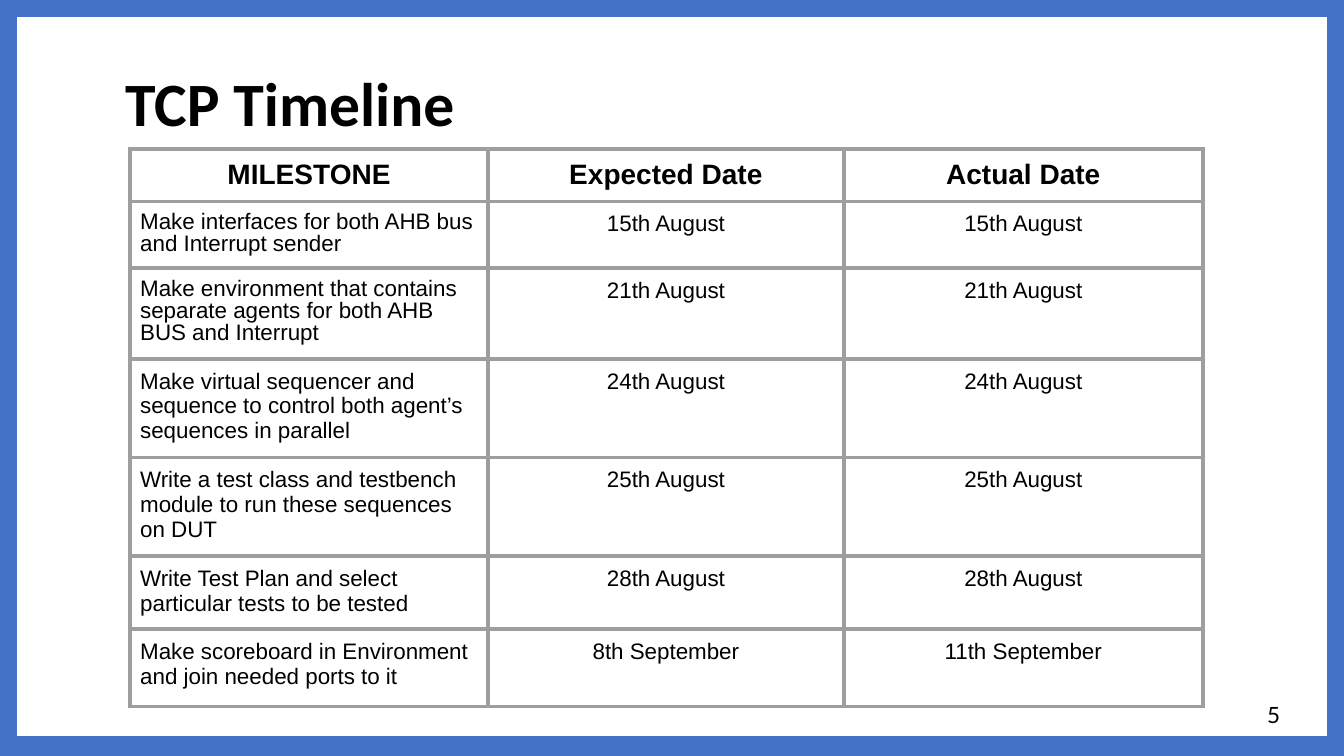
from dataclasses import dataclass

from pptx import Presentation
from pptx import util as u
from pptx.dml.color import RGBColor
from pptx.enum import shapes, text
from pptx.oxml import parse_xml
from pptx.oxml.ns import nsdecls

SLIDE_WIDTH, SLIDE_HEIGHT = u.Inches(13.33), u.Inches(7.5)
INSET = u.Inches(0.1)


@dataclass(frozen=True)
class Theme:
    frame: str = "4472C4"
    paper: str = "FFFFFF"
    ink: str = "000000"
    rule: str = "9E9E9E"
    title_font: str = "Calibri"
    table_font: str = "Arial"
    number_font: str = "Lato"
    title_size: int = 44
    header_size: int = 20
    body_size: int = 16
    rule_width: int = 3


@dataclass(frozen=True)
class Box:
    """A place on the slide, in percent of its width and height."""
    left: float
    top: float
    width: float
    height: float

    def lengths(self) -> tuple[int, int, int, int]:
        return (across(self.left), down(self.top),
                across(self.width), down(self.height))


@dataclass(frozen=True)
class Milestone:
    task: str
    expected: str
    actual: str
    height: float
    tight: bool = False


THEME = Theme()
PAPER = Box(1.28, 2.27, 97.45, 95.07)
TITLE = Box(8.55, 12.13, 83.35, 7.6)
NUMBER = Box(93.55, 90.67, 6, 7.6)
TABLE = Box(9.68, 19.73, 79.82, 73.74)
COLUMN_WIDTHS = (26.63, 26.48, 26.71)
HEADERS = ("MILESTONE", "Expected Date", "Actual Date")
HEADER_HEIGHT = 6.93
MILESTONES = (
    Milestone("Make interfaces for both AHB bus and Interrupt sender",
              "15th August", "15th August", 8.8, tight=True),
    Milestone("Make environment that contains separate agents for both AHB BUS and Interrupt",
              "21th August", "21th August", 12, tight=True),
    Milestone("Make virtual sequencer and sequence to control both agent’s sequences in parallel",
              "24th August", "24th August", 13.07),
    Milestone("Write a test class and testbench module to run these sequences on DUT",
              "25th August", "25th August", 13.07),
    Milestone("Write Test Plan and select particular tests to be tested",
              "28th August", "28th August", 9.6),
    Milestone("Make scoreboard in Environment and join needed ports to it",
              "8th September", "11th September", 10.27),
)


def across(percent: float) -> int:
    return round(SLIDE_WIDTH * percent / 100)


def down(percent: float) -> int:
    return round(SLIDE_HEIGHT * percent / 100)


def style(paragraph, font_name: str, size: int, bold: bool = False,
          align=text.PP_ALIGN.LEFT) -> None:
    paragraph.alignment = align
    font = paragraph.font
    font.name, font.size, font.bold = font_name, u.Pt(size), bold
    font.color.rgb = RGBColor.from_string(THEME.ink)


def set_insets(holder) -> None:
    holder.margin_left = holder.margin_right = INSET
    holder.margin_top = holder.margin_bottom = INSET


def fill_text(shape, words: str, anchor, font_name: str, size: int,
              bold: bool = False) -> None:
    frame = shape.text_frame
    frame.text = words
    frame.word_wrap = True
    frame.auto_size = text.MSO_AUTO_SIZE.NONE
    frame.vertical_anchor = anchor
    set_insets(frame)
    style(frame.paragraphs[0], font_name, size, bold)


def draw_borders(cell) -> None:
    properties = cell._tc.get_or_add_tcPr()
    for side in ("lnL", "lnR", "lnT", "lnB"):
        properties.append(parse_xml(
            f'<a:{side} {nsdecls("a")} w="{u.Pt(THEME.rule_width)}"><a:solidFill>'
            f'<a:srgbClr val="{THEME.rule}"/></a:solidFill></a:{side}>'))


def fill_cell(cell, words: str, size: int, bold: bool = False,
              align=text.PP_ALIGN.CENTER):
    draw_borders(cell)
    cell.fill.background()
    set_insets(cell)
    cell.text = words
    paragraph = cell.text_frame.paragraphs[0]
    style(paragraph, THEME.table_font, size, bold, align)
    return paragraph


def add_timeline(slide) -> None:
    table = slide.shapes.add_table(
        len(MILESTONES) + 1, len(HEADERS), *TABLE.lengths()).table
    table.first_row = table.horz_banding = False
    for column, width in zip(table.columns, COLUMN_WIDTHS):
        column.width = across(width)

    # Header row
    table.rows[0].height = down(HEADER_HEIGHT)
    for index, header in enumerate(HEADERS):
        fill_cell(table.cell(0, index), header, THEME.header_size, bold=True)

    # Milestone rows
    for index, milestone in enumerate(MILESTONES, start=1):
        table.rows[index].height = down(milestone.height)
        task = fill_cell(table.cell(index, 0), milestone.task,
                         THEME.body_size, align=text.PP_ALIGN.LEFT)
        if milestone.tight:
            task.line_spacing = 0.9
            task.space_before = u.Pt(10)
        for offset, date in enumerate((milestone.expected, milestone.actual), start=1):
            fill_cell(table.cell(index, offset), date, THEME.body_size)


def main() -> None:
    presentation = Presentation()
    presentation.slide_width, presentation.slide_height = SLIDE_WIDTH, SLIDE_HEIGHT
    slide = presentation.slides.add_slide(presentation.slide_layouts[5])

    # Blue frame around a white sheet
    background = slide.background.fill
    background.solid()
    background.fore_color.rgb = RGBColor.from_string(THEME.frame)
    paper = slide.shapes.add_shape(shapes.MSO_SHAPE.RECTANGLE, *PAPER.lengths())
    paper.shadow.inherit = False
    paper.fill.solid()
    paper.fill.fore_color.rgb = RGBColor.from_string(THEME.paper)
    paper.line.fill.background()

    # Title, placed in front of the sheet
    title = slide.shapes.title
    paper._element.addnext(title._element)
    title.left, title.top, title.width, title.height = TITLE.lengths()
    fill_text(title, "TCP Timeline", text.MSO_ANCHOR.BOTTOM,
              THEME.title_font, THEME.title_size, bold=True)

    # Slide number
    number = slide.shapes.add_textbox(*NUMBER.lengths())
    fill_text(number, "5", text.MSO_ANCHOR.MIDDLE,
              THEME.number_font, THEME.body_size)

    # Timeline table
    add_timeline(slide)
    presentation.save("out.pptx")


if __name__ == "__main__":
    main()
